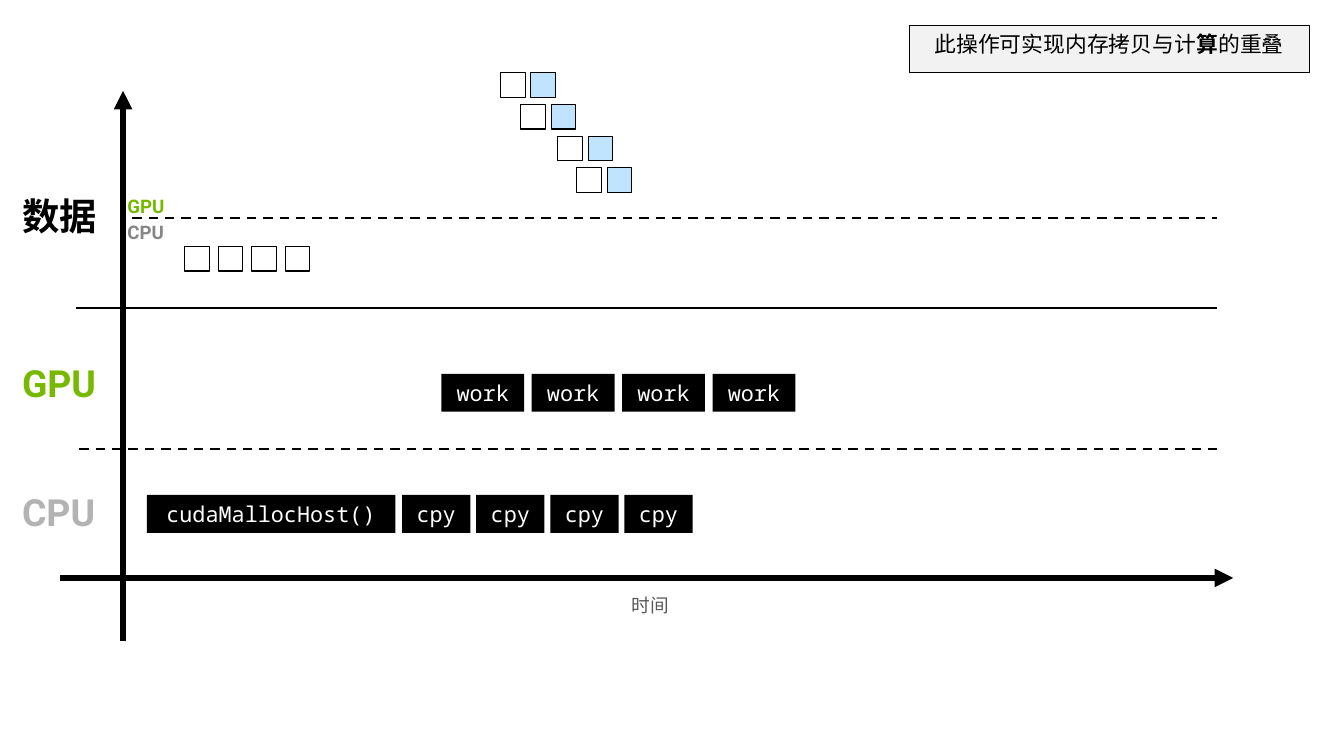
"""Build a timeline slide showing memory copies overlapping with GPU work."""
from lxml import etree
from pptx import Presentation
from pptx.dml.color import RGBColor
from pptx.enum import dml, shapes, text
from pptx.oxml import ns
from pptx.util import Cm, Pt

COLORS = {
    "black": "000000", "white": "FFFFFF", "green": "76B900",
    "cpu": "B3B3B3", "small_cpu": "868686", "time": "595959",
    "copied": "C0E3FE", "note": "F2F2F2",
}
AXES = [(2.79, 14.55, 2.79, 2.06), (1.37, 13.11, 27.97, 13.11)]
DIVIDERS = [
    (1.8, 10.19, 27.69, True),
    (1.73, 6.99, 27.61, False),
    (3, 4.95, 27.61, True),
]
LABELS = [
    ("数据", 0.25, 4.37, 2.79, 1.17, 24, "black", True),
    ("GPU", 0.25, 8.15, 2.46, 1.17, 24, "green", True),
    ("CPU", 0.25, 11.07, 2.46, 1.19, 24, "cpu", True),
    ("GPU", 2.64, 4.34, 1.4, 0.71, 12, "green", True),
    ("CPU", 2.64, 4.93, 1.4, 0.71, 12, "small_cpu", True),
    ("时间", 14, 13.36, 1.5, 0.76, 12, "time", False),
]
TASKS = [
    ("cudaMallocHost()", 3.33, 11.23, 5.64, 0, 1),
    ("cpy", 9.12, 11.23, 1.55, 1.68, 4),
    ("work", 10.01, 8.48, 1.88, 2.05, 4),
]
CPU_CHUNKS = {"left": 4.19, "top": 5.59, "pitch": 0.76, "count": 4}
GPU_CHUNKS = {"lefts": [11.35, 11.81, 12.65, 13.08], "top": 1.65, "pitch": 0.72}
CHUNK, RESULT_OFFSET, TASK_HEIGHT = 0.56, 0.69, 0.86
NOTE = [("此操作可实现内存拷贝与计", False), ("算", True), ("的重叠", False)]


def rgb(name):
    return RGBColor.from_string(COLORS[name])


def style(item, size, color, font):
    item.font.size = Pt(size)
    item.font.name = font
    item.font.color.rgb = rgb(color)


def add_line(page, x1, y1, x2, y2, width, dashed=False, arrow=False):
    line = page.shapes.add_connector(
        shapes.MSO_CONNECTOR.STRAIGHT, Cm(x1), Cm(y1), Cm(x2), Cm(y2))
    line.line.color.rgb = rgb("black")
    line.line.width = Pt(width)
    if dashed:
        line.line.dash_style = dml.MSO_LINE.DASH
    if arrow:
        etree.SubElement(line.line._get_or_add_ln(), ns.qn("a:tailEnd"), type="triangle")
    etree.SubElement(line._element.spPr, ns.qn("a:effectLst"))


def add_box(page, left, top, width, height, fill=None, outlined=True):
    box = page.shapes.add_shape(
        shapes.MSO_SHAPE.RECTANGLE, Cm(left), Cm(top), Cm(width), Cm(height))
    box.shadow.inherit = False
    if fill:
        box.fill.solid()
        box.fill.fore_color.rgb = rgb(fill)
    else:
        box.fill.background()
    if outlined:
        box.line.color.rgb = rgb("black")
        box.line.width = Pt(0.75)
    else:
        box.line.fill.background()
    return box


def add_label(page, words, left, top, width, height, size, color, bold):
    box = page.shapes.add_textbox(Cm(left), Cm(top), Cm(width), Cm(height))
    frame = box.text_frame
    frame.word_wrap = True
    frame.vertical_anchor = text.MSO_ANCHOR.BOTTOM
    para = frame.paragraphs[0]
    para.text = words
    para.line_spacing = 0.9
    para.alignment = text.PP_ALIGN.LEFT if bold else text.PP_ALIGN.CENTER
    style(para, size, color, "Roboto")
    para.font.bold = bold


def add_task(page, words, left, top, width):
    box = add_box(page, left, top, width, TASK_HEIGHT, "black", outlined=False)
    box.text_frame.vertical_anchor = text.MSO_ANCHOR.MIDDLE
    para = box.text_frame.paragraphs[0]
    para.text = words
    para.alignment = text.PP_ALIGN.CENTER
    style(para, 14, "white", "Noto Sans Mono")


def add_note(page):
    box = add_box(page, 20.62, 0.58, 9.07, 1.07, "note")
    box.text_frame.vertical_anchor = text.MSO_ANCHOR.TOP
    para = box.text_frame.paragraphs[0]
    para.alignment = text.PP_ALIGN.CENTER
    style(para, 14, "black", "Arial")
    for words, bold in NOTE:
        span = para.add_run()
        span.text = words
        span.font.bold = bold


def main():
    deck = Presentation()
    deck.slide_width, deck.slide_height = Cm(30.48), Cm(17.15)
    page = deck.slides.add_slide(deck.slide_layouts[6])
    for axis in AXES:
        add_line(page, *axis, 4, arrow=True)
    for start, height, end, dashed in DIVIDERS:
        add_line(page, start, height, end, height, 1.5, dashed)
    for label in LABELS:
        add_label(page, *label)
    for words, left, top, width, pitch, count in TASKS:
        for index in range(count):
            add_task(page, words, left + index * pitch, top, width)
    for index in range(CPU_CHUNKS["count"]):
        left = CPU_CHUNKS["left"] + index * CPU_CHUNKS["pitch"]
        add_box(page, left, CPU_CHUNKS["top"], CHUNK, CHUNK)
    for index, left in enumerate(GPU_CHUNKS["lefts"]):
        top = GPU_CHUNKS["top"] + index * GPU_CHUNKS["pitch"]
        add_box(page, left, top, CHUNK, CHUNK)
        add_box(page, left + RESULT_OFFSET, top, CHUNK, CHUNK, "copied")
    add_note(page)
    deck.save("out.pptx")


if __name__ == "__main__":
    main()
